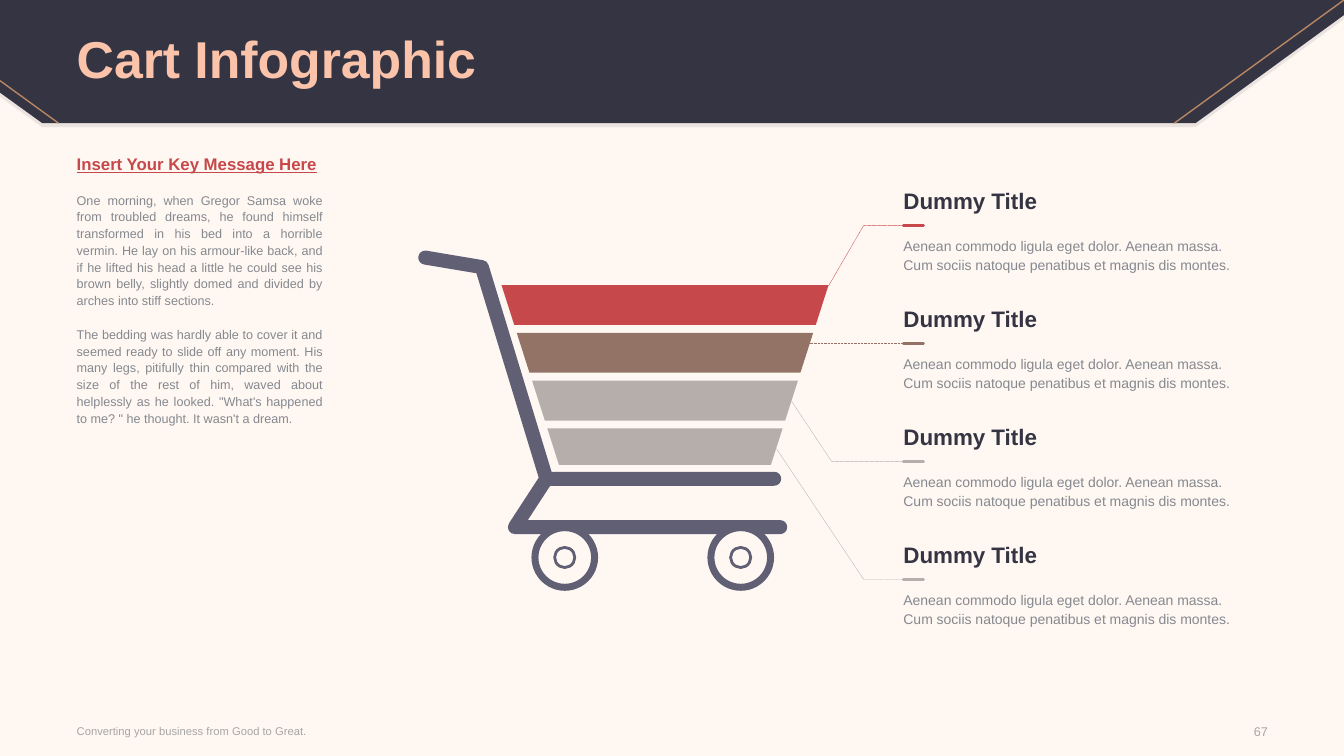
import pptx
import pptx.dml.color
import pptx.enum.dml
import pptx.enum.shapes
import pptx.enum.text
import pptx.oxml.ns
import pptx.util
from lxml import etree

Pt = pptx.util.Pt
RGBColor = pptx.dml.color.RGBColor
Align = pptx.enum.text.PP_ALIGN
Anchor = pptx.enum.text.MSO_ANCHOR

CREAM = RGBColor(0xFF, 0xF7, 0xF2)
NAVY = RGBColor(0x34, 0x34, 0x42)
PEACH = RGBColor(0xFB, 0xC4, 0xAA)
GOLD = RGBColor(0xB9, 0x87, 0x63)
RED = RGBColor(0xC7, 0x48, 0x4A)
BROWN = RGBColor(0x92, 0x73, 0x65)
STONE = RGBColor(0xB6, 0xAE, 0xAB)
SLATE = RGBColor(0x60, 0x5F, 0x73)
GREY = RGBColor(0x85, 0x89, 0x8F)
PALE_GREY = RGBColor(0xA6, 0xA6, 0xA6)


def add_xml(parent, tag, **attributes):
    return etree.SubElement(parent, pptx.oxml.ns.qn(tag), **attributes)


class SlideBuilder:
    """Holds the font and the current slide; all lengths are in points."""

    font_name = "Arial"

    def __init__(self, slide):
        self.slide = slide
        self.shapes = slide.shapes

    def place(self, shape, left, top, width, height):
        for name, value in dict(left=left, top=top, width=width, height=height).items():
            setattr(shape, name, Pt(value))

    def set_text(self, frame, paragraphs, anchor=Anchor.TOP):
        """Fill a text frame from (text, colour, font format, paragraph format) tuples."""
        settings = dict(margin_left=0, margin_top=0, margin_right=0, margin_bottom=0,
                        word_wrap=True, vertical_anchor=anchor,
                        auto_size=pptx.enum.text.MSO_AUTO_SIZE.NONE)
        for name, value in settings.items():
            setattr(frame, name, value)
        for index, (text, color, font_format, layout) in enumerate(paragraphs):
            paragraph = frame.add_paragraph() if index else frame.paragraphs[0]
            for name, value in layout.items():
                setattr(paragraph, name, value)
            run = paragraph.add_run()
            run.text = text
            run.font.color.rgb = color
            for name, value in dict(font_format, name=self.font_name).items():
                setattr(run.font, name, value)

    def title(self, text, box):
        title = self.shapes.title
        self.place(title, *box)
        self.set_text(title.text_frame, [(text, PEACH, dict(size=Pt(37), bold=True),
                                          dict(alignment=Align.LEFT, line_spacing=0.9))],
                      Anchor.MIDDLE)
        title.element.getparent().append(title.element)  # in front of the header

    def text(self, box, paragraphs, anchor=Anchor.TOP):
        shape = self.shapes.add_textbox(*map(Pt, box))
        self.set_text(shape.text_frame, paragraphs, anchor)

    def stroke(self, shape, color, width, dash=None, rounded=False):
        shape.line.color.rgb = color
        shape.line.width = Pt(width)
        if dash:
            shape.line.dash_style = dash
        if rounded:
            outline = shape.element.spPr.find(pptx.oxml.ns.qn("a:ln"))
            outline.set("cap", "rnd")
            add_xml(outline, "a:round")

    def line(self, start, end, color, width, **style):
        connector = self.shapes.add_connector(
            pptx.enum.shapes.MSO_CONNECTOR.STRAIGHT, *map(Pt, start + end))
        self.stroke(connector, color, width, **style)
        add_xml(connector.element.spPr, "a:effectLst")

    def outline(self, contours, closed):
        (first, *rest), *others = [[(Pt(x), Pt(y)) for x, y in contour] for contour in contours]
        builder = self.shapes.build_freeform(*first, scale=1.0)
        builder.add_line_segments(rest, close=closed)
        for start, *points in others:
            builder.move_to(*start)
            builder.add_line_segments(points, close=closed)
        shape = builder.convert_to_shape()
        shape.shadow.inherit = False
        return shape

    def polygon(self, points, color, alpha=None):
        shape = self.outline([points], True)
        shape.fill.solid()
        shape.fill.fore_color.rgb = color
        shape.line.fill.background()
        if alpha is not None:
            color_element = shape.element.spPr.find(".//" + pptx.oxml.ns.qn("a:srgbClr"))
            add_xml(color_element, "a:alpha", val=str(alpha * 1000))

    def polyline(self, contours, color, width, **style):
        shape = self.outline(contours, False)
        shape.fill.background()
        self.stroke(shape, color, width, **style)

    def ring(self, center_x, center_y, radius, width):
        box = (center_x - radius, center_y - radius, 2 * radius, 2 * radius)
        shape = self.shapes.add_shape(pptx.enum.shapes.MSO_SHAPE.OVAL, *map(Pt, box))
        shape.shadow.inherit = False
        shape.fill.solid()
        shape.fill.fore_color.rgb = CREAM
        self.stroke(shape, SLATE, width)


def main():
    presentation = pptx.Presentation()
    presentation.slide_width, presentation.slide_height = Pt(960), Pt(540)
    slide = presentation.slides.add_slide(presentation.slide_layouts[5])
    slide.background.fill.solid()
    slide.background.fill.fore_color.rgb = CREAM
    builder = SlideBuilder(slide)

    # Header band with its soft shadow and gold lines
    band = [(854, 88), (30.2, 88), (0, 66.2), (0, 0), (960, 0), (960, 10.8)]
    builder.polygon([(x, y + 2.9) for x, y in band], NAVY, alpha=10)
    builder.polygon(band, NAVY)
    builder.line((960, 0), (838.8, 88), GOLD, 1)
    builder.line((0, 57.6), (41.8, 88), GOLD, 1)
    builder.title("Cart Infographic", (54.8, 2, 850, 84.2))

    # Key message
    layout = dict(alignment=Align.JUSTIFY, line_spacing=Pt(12))
    spaced = dict(layout, space_before=Pt(12))
    small = dict(size=Pt(9))
    builder.text((54.8, 112.3, 175.6, 373.7), [
        ("Insert Your Key Message Here", RED,
         dict(size=Pt(12), bold=True, underline=True), layout),
        ("One morning, when Gregor Samsa woke from troubled dreams, he found himself "
         "transformed in his bed into a horrible vermin. He lay on his armour-like back, "
         "and if he lifted his head a little he could see his brown belly, slightly domed "
         "and divided by arches into stiff sections.", GREY, small, spaced),
        ("The bedding was hardly able to cover it and seemed ready to slide off any moment. "
         "His many legs, pitifully thin compared with the size of the rest of him, waved "
         "about helplessly as he looked. \"What's happened to me? \" he thought. "
         "It wasn't a dream.", GREY, small, spaced),
    ])

    # Footer
    builder.text((54.8, 512.8, 376.6, 18.7),
                 [("Converting your business from Good to Great.", PALE_GREY,
                   dict(size=Pt(8)), {})], Anchor.MIDDLE)
    builder.text((860.4, 513.4, 45.3, 18.7),
                 [("67", PALE_GREY, small, dict(alignment=Align.RIGHT))], Anchor.MIDDLE)

    # Items: leader, cart layer, rule, title and description
    item_top, item_pitch, item_left = 161, 84.3, 645.3
    layer_top, layer_pitch, slope = 203.6, 34.15, 0.32
    items = [  # colour, layer height, leader bend and end
        (RED, 28.5, [617, (591.8, 204.3)]),
        (BROWN, 28.5, [None, (578.4, 245.3)]),
        (STONE, 28.5, [594, (565.3, 286.4)]),
        (STONE, 26, [617, (554.6, 320.5)]),
    ]
    dotted = pptx.enum.dml.MSO_LINE.SQUARE_DOT
    for index, (color, height, (bend, end)) in enumerate(items):
        y = item_top + index * item_pitch
        if bend is None:
            builder.line((657.4, y), (end[0], y), color, 0.25, dash=dotted)
        else:
            builder.polyline([[(657.4, y), (bend, y), end]], color, 0.25, dash=dotted)

        top = layer_top + index * layer_pitch
        inset = index * layer_pitch * slope
        left, right, taper = 358.2 + inset, 591.8 - inset, height * slope
        builder.polygon([(left, top), (right, top), (right - taper, top + height),
                         (left + taper, top + height)], color)

        builder.line((item_left, y), (item_left + 14.4, y), color, 2, rounded=True)
        builder.text((item_left, y - 27.6, 265.7, 19.4),
                     [("Dummy Title", NAVY, dict(size=Pt(16), bold=True), {})])
        builder.text((item_left, y + 6.4, 265.7, 28), [
            (sentence, GREY, dict(size=Pt(10)), dict(line_spacing=Pt(14)))
            for sentence in ("Aenean commodo ligula eget dolor. Aenean massa.",
                             "Cum sociis natoque penatibus et magnis dis montes.")])

    # Cart frame and wheels
    corner = (390.3, 342)
    builder.polyline([[(303.8, 184), (344.2, 190.8), corner, (553, 342)],
                      [corner, (367.8, 376.5), (557.3, 376.5)]], SLATE, 10, rounded=True)
    for wheel_x in (403.4, 529.1):
        builder.ring(wheel_x, 398.2, 21.3, 5)
        builder.ring(wheel_x, 398.2, 7.2, 2)

    presentation.save("out.pptx")


if __name__ == "__main__":
    main()
